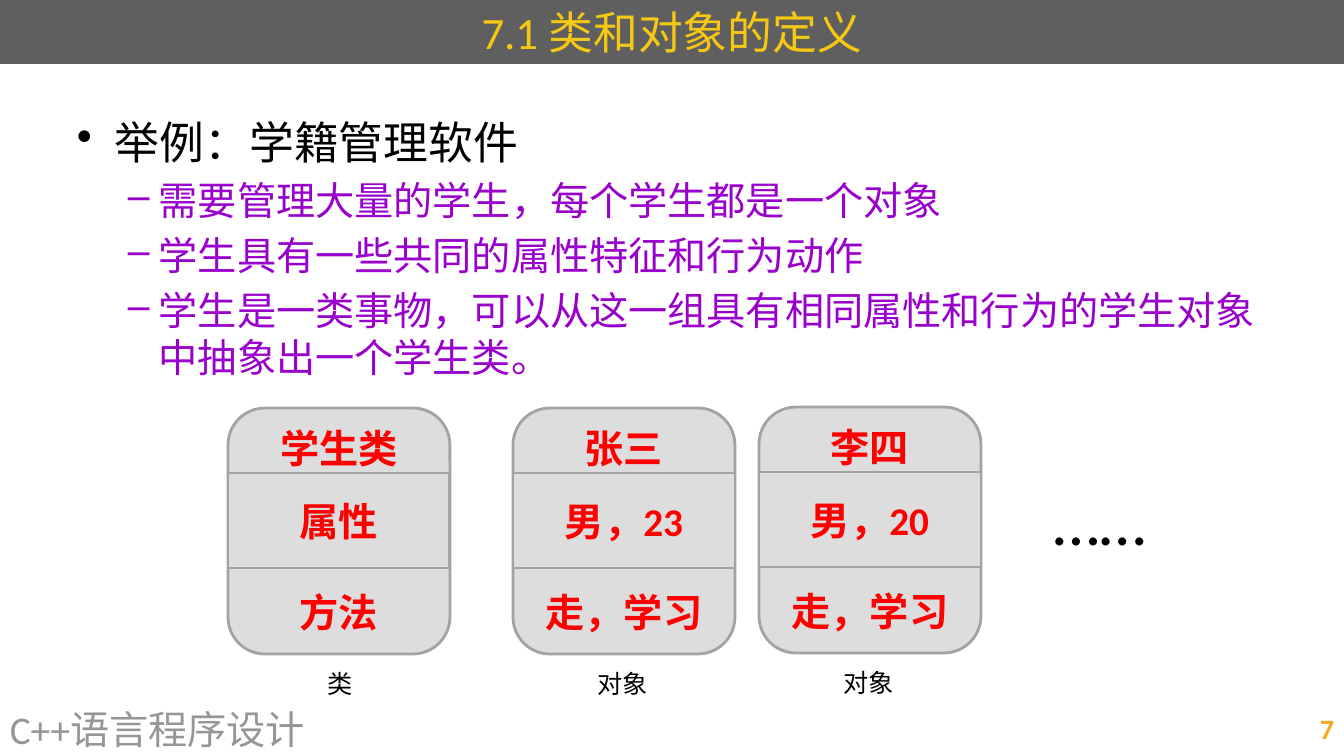
import pptx
import pptx.dml.color
import pptx.enum.lang
import pptx.enum.shapes
import pptx.enum.text
import pptx.util
from lxml import etree
from pptx.oxml.ns import qn

TITLE = "7.1 类和对象的定义"
TOPIC = "举例：学籍管理软件"
POINTS = [
    "需要管理大量的学生，每个学生都是一个对象",
    "学生具有一些共同的属性特征和行为动作",
    "学生是一类事物，可以从这一组具有相同属性和行为的学生对象中抽象出一个学生类。",
]
# left, top, name, attributes, methods, caption, caption left, caption width
CARDS = [
    (228, 408, "学生类", "属性", "方法", "类", 267, 97),
    (513, 408, "张三", "男，23", "走，学习", "对象", 537, 122),
    (759, 407, "李四", "男，20", "走，学习", "对象", 783, 122),
]
MORE = "……"
COURSE = "C++语言程序设计"
PAGE_NUMBER = "7"

COLORS = {
    "bar": "5F5F5F", "title": "F6C813", "topic": "000000", "point": "9900CC",
    "card": "DDDDDD", "edge": "A3A3A3", "member": "FF0000",
    "course": "969696", "number": "F8A720",
}
FONT = "Calibri"
WIDTH, HEIGHT = 1344, 756
CARD_WIDTH, CARD_HEIGHT = 222, 246
MIDDLE_OFFSET, MIDDLE_HEIGHT = 65, 95
CAPTION_OFFSET, CAPTION_HEIGHT = 255, 40
CAPTION_INDENT = 50
FOOTER_TOP, FOOTER_HEIGHT = 701, 55
EMU_PER_PX = 914400 / 100.8

ALIGN = pptx.enum.text.PP_ALIGN
ANCHOR = pptx.enum.text.MSO_ANCHOR
SHAPE = pptx.enum.shapes.MSO_SHAPE


def px(length):
    return pptx.util.Emu(round(length * EMU_PER_PX))


def rgb(name):
    return pptx.dml.color.RGBColor.from_string(COLORS[name])


def write(box, text, size, color, bold=False, align=ALIGN.LEFT, before=0,
          margin=0, hanging=0, bullet=None):
    """Add one paragraph to the box, using its empty first one if there is one."""
    frame = box.text_frame
    para = frame.paragraphs[0] if not frame.text else frame.add_paragraph()
    para.alignment = align
    if before:
        para.space_before = pptx.util.Pt(before)
    if margin:
        props = para._p.get_or_add_pPr()
        props.set("marL", str(px(margin)))
        props.set("indent", str(px(-hanging)))
        if bullet:
            etree.SubElement(props, qn("a:buChar")).set("char", bullet)
    span = para.add_run()
    span.text = text
    span.font.name = FONT
    span.font.size = pptx.util.Pt(size)
    span.font.bold = bold
    span.font.color.rgb = rgb(color)
    span.font.language_id = pptx.enum.lang.MSO_LANGUAGE_ID.SIMPLIFIED_CHINESE


def add_box(page, left, top, width, height, anchor=ANCHOR.TOP, wrap=True):
    box = page.shapes.add_textbox(px(left), px(top), px(width), px(height))
    box.text_frame.word_wrap = wrap
    box.text_frame.vertical_anchor = anchor
    return box


def add_panel(page, kind, left, top, width, height, fill, edge=None,
              anchor=ANCHOR.MIDDLE):
    panel = page.shapes.add_shape(kind, px(left), px(top), px(width), px(height))
    panel.shadow.inherit = False
    panel.fill.solid()
    panel.fill.fore_color.rgb = rgb(fill)
    if edge:
        panel.line.color.rgb = rgb(edge)
        panel.line.width = pptx.util.Pt(2)
    else:
        panel.line.fill.background()
    panel.text_frame.word_wrap = True
    panel.text_frame.vertical_anchor = anchor
    return panel


def add_card(page, left, top, name, attributes, methods, caption,
             caption_left, caption_width):
    member = dict(size=28, color="member", bold=True, align=ALIGN.CENTER)
    outer = add_panel(page, SHAPE.ROUNDED_RECTANGLE, left, top, CARD_WIDTH,
                      CARD_HEIGHT, "card", "edge", ANCHOR.TOP)
    write(outer, name, **member)
    write(outer, methods, before=84, **member)
    middle = add_panel(page, SHAPE.RECTANGLE, left, top + MIDDLE_OFFSET,
                       CARD_WIDTH, MIDDLE_HEIGHT, "card", "edge")
    write(middle, attributes, **member)
    label = add_box(page, caption_left, top + CAPTION_OFFSET, caption_width,
                    CAPTION_HEIGHT, wrap=False)
    write(label, caption, 18, "topic", align=ALIGN.CENTER, margin=CAPTION_INDENT)


def main():
    deck = pptx.Presentation()
    deck.slide_width, deck.slide_height = px(WIDTH), px(HEIGHT)
    page = deck.slides.add_slide(deck.slide_layouts[6])

    bar = add_panel(page, SHAPE.RECTANGLE, 0, 0, WIDTH, 64, "bar")
    write(bar, TITLE, 32, "title", align=ALIGN.CENTER)

    body = add_box(page, 67, 110, 1210, 565)
    write(body, TOPIC, 32, "topic", margin=38, hanging=38, bullet="•")
    for point in POINTS:
        write(body, point, 28, "point", before=5.6, margin=82, hanging=31,
              bullet="–")

    for card in CARDS:
        add_card(page, *card)
    more = add_box(page, 992, 473, 165, 92, wrap=False)
    write(more, MORE, 48, "topic", align=ALIGN.CENTER, margin=CAPTION_INDENT)

    course = add_box(page, 0, FOOTER_TOP, 885, FOOTER_HEIGHT, ANCHOR.MIDDLE)
    write(course, COURSE, 28, "course")
    number = add_box(page, 964, FOOTER_TOP, 380, FOOTER_HEIGHT, ANCHOR.MIDDLE)
    write(number, PAGE_NUMBER, 20, "number", bold=True, align=ALIGN.RIGHT)

    deck.save("out.pptx")


if __name__ == "__main__":
    main()
